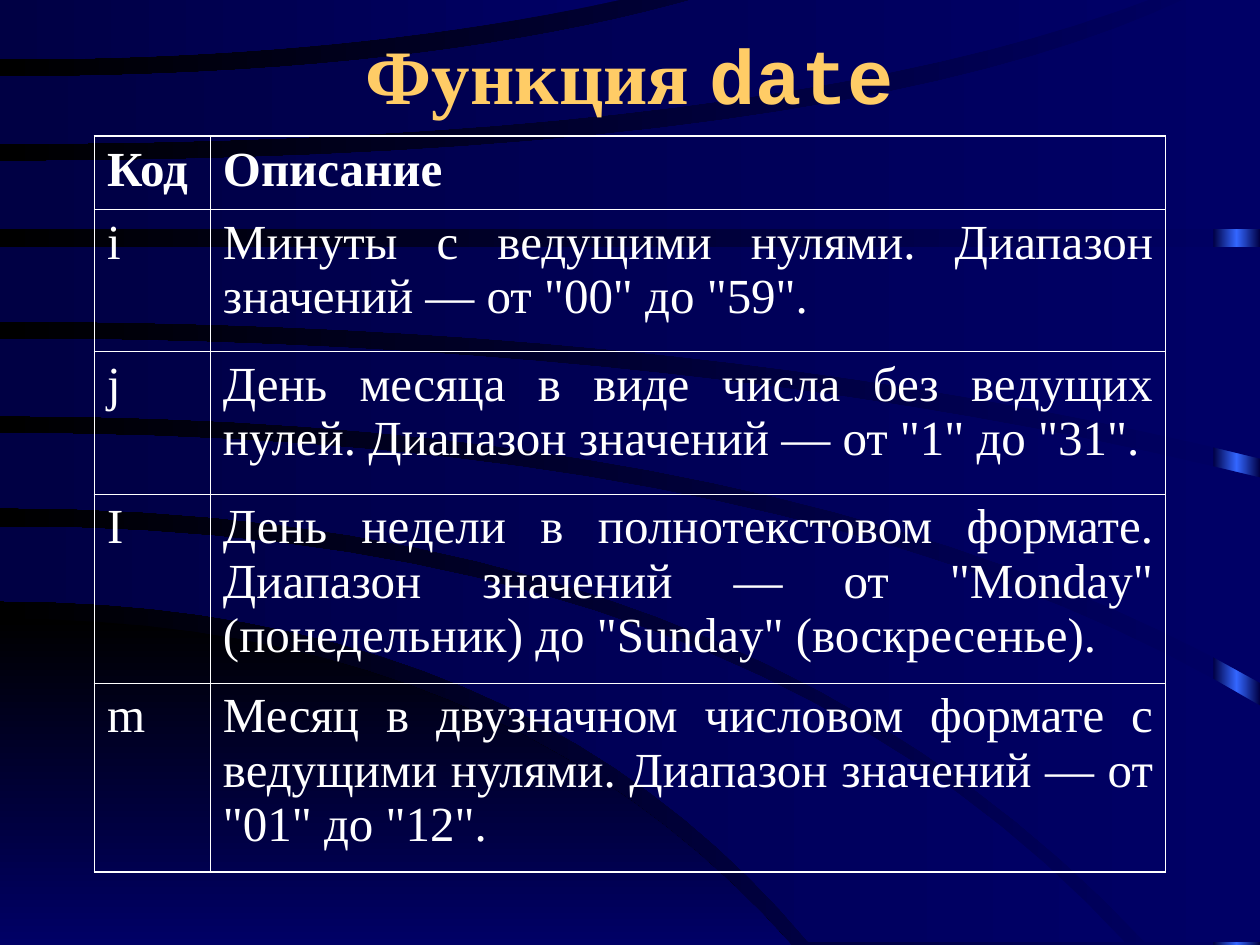
import collections
import copy

import pptx
import pptx.dml.color
import pptx.enum.shapes
import pptx.enum.text
import pptx.oxml
import pptx.oxml.ns
import pptx.util

Inches = pptx.util.Inches
RGBColor = pptx.dml.color.RGBColor
Align = pptx.enum.text.PP_ALIGN

BLACK = RGBColor(0x00, 0x00, 0x00)
NAVY = RGBColor(0x00, 0x00, 0x66)
DEEP_NAVY = RGBColor(0x00, 0x00, 0x44)
BRIGHT_BLUE = RGBColor(0x33, 0x66, 0xFF)
GOLD = RGBColor(0xFF, 0xCC, 0x66)
WHITE = RGBColor(0xFF, 0xFF, 0xFF)

SERIF = "Times New Roman"
MONO = "Courier New"

# A band edge leaves the left side level at y_start, bends near x_bend and
# ends at (x_end, y_end); all in inches
Edge = collections.namedtuple("Edge", "y_start x_bend x_end y_end")
EDGE_STEPS = 20

DARK_HILL = (Edge(4.91, 3.98, 6.28, 7.5), Edge(7.5, 3, 6.28, 7.5))
BANDS = [  # upper and lower edge of each band
    (Edge(4.18, 5.88, 8.93, 7.48), Edge(4.77, 4.15, 6.42, 7.48)),
    (Edge(3.44, 6.4, 10, 5.6), Edge(4.03, 5.88, 9.09, 7.48)),
    (Edge(2.69, 5.54, 10, 3.79), Edge(3.3, 6.3, 10, 5.42)),
    (Edge(1.96, 5, 10, 1.96), Edge(2.55, 5.64, 10, 3.64)),
    (Edge(1.28, 6.72, 9.43, -0.02), Edge(1.82, 5, 10, 1.82)),
    (Edge(0.61, 3.38, 5.56, -0.02), Edge(1.14, 6.16, 9.17, -0.02)),
    (Edge(-0.02, 2.5, 5.01, -0.02), Edge(0.47, 2.8, 5.01, -0.02)),
]

CODE_ROWS = [
    ("Код", "Описание"),
    ("i", 'Минуты с ведущими нулями. Диапазон значений — от "00" до "59".'),
    ("j", 'День месяца в виде числа без ведущих нулей. Диапазон значений — от "1" до "31".'),
    ("I", 'День недели в полнотекстовом формате. Диапазон значений — от "Monday" '
          '(понедельник) до "Sunday" (воскресенье).'),
    ("m", 'Месяц в двузначном числовом формате с ведущими нулями. '
          'Диапазон значений — от "01" до "12".'),
]


def write(paragraph, text, *, size, color=WHITE, font=SERIF, bold=False, align=Align.JUSTIFY):
    """Add one formatted run to a paragraph."""
    paragraph.alignment = align
    run = paragraph.add_run()
    run.text = text
    run.font.size = pptx.util.Pt(size)
    run.font.name = font
    run.font.bold = bold
    run.font.color.rgb = color


def set_gradient(fill, colors, angle):
    """Spread the colours evenly along the gradient."""
    for stop, (i, color) in zip(fill.gradient_stops, enumerate(colors)):
        stop.color.rgb = color
        stop.position = i / (len(colors) - 1)
    fill.gradient_angle = angle


def trace(edge):
    """Points of the quadratic curve along an edge, left to right."""
    points = []
    for step in range(EDGE_STEPS + 1):
        t = step / EDGE_STEPS
        x = 2 * t * (1 - t) * edge.x_bend + t * t * edge.x_end
        y = edge.y_start + t * t * (edge.y_end - edge.y_start)
        points.append((Inches(x), Inches(y)))
    return points


class SlideBuilder:
    outer_line = 1.08
    inner_line = 0.45

    def __init__(self, slide):
        self.slide = slide
        self.backdrop = slide.shapes.add_group_shape()

    def background(self, *colors):
        fill = self.slide.background.fill
        fill.gradient()
        set_gradient(fill, colors, 180)

    def paint(self, shape, colors, angle):
        shape.shadow.inherit = False
        shape.line.fill.background()
        shape.fill.gradient()
        stops = shape._element.spPr.find(".//" + pptx.oxml.ns.qn("a:gsLst"))
        for _ in colors[2:]:
            stops.append(copy.deepcopy(stops[0]))
        set_gradient(shape.fill, colors, angle)

    def edge_strip(self, left, top, width, height, colors):
        strip = self.backdrop.shapes.add_shape(
            pptx.enum.shapes.MSO_SHAPE.RECTANGLE,
            Inches(left), Inches(top), Inches(width), Inches(height))
        self.paint(strip, colors, 180)

    def band(self, upper, lower, colors, angle=180):
        # Fill the slide corner between edges that end on different sides
        inner = min(upper, lower, key=lambda edge: edge.x_end)
        corner = (Inches(max(upper.x_end, lower.x_end)), Inches(inner.y_end))
        points = trace(upper) + [corner] + trace(lower)[::-1]
        builder = self.backdrop.shapes.build_freeform(*points[0])
        builder.add_line_segments(points[1:], close=True)
        self.paint(builder.convert_to_shape(), colors, angle)

    def title(self, left, top, width, height, parts):
        heading = self.slide.shapes.title
        heading.left, heading.top = Inches(left), Inches(top)
        heading.width, heading.height = Inches(width), Inches(height)
        frame = heading.text_frame
        frame.vertical_anchor = pptx.enum.text.MSO_ANCHOR.MIDDLE
        for text, font in parts:
            write(frame.paragraphs[0], text, size=44, color=GOLD, font=font, bold=True,
                  align=Align.CENTER)
        # Bring the title in front of the backdrop
        self.slide.shapes._spTree.append(heading._element)

    def borders(self, cell, outer_sides):
        properties = cell._tc.get_or_add_tcPr()
        for side in "LRTB":
            points = self.outer_line if side in outer_sides else self.inner_line
            properties.append(pptx.oxml.parse_xml(
                f'<a:ln{side} {pptx.oxml.ns.nsdecls("a")} w="{int(pptx.util.Pt(points))}">'
                f'<a:solidFill><a:srgbClr val="{WHITE}"/></a:solidFill></a:ln{side}>'))

    def table(self, left, top, widths, heights, rows):
        grid = self.slide.shapes.add_table(
            len(heights), len(widths), Inches(left), Inches(top),
            Inches(sum(widths)), Inches(sum(heights))).table
        grid.first_row = grid.horz_banding = False
        for column, width in zip(grid.columns, widths):
            column.width = Inches(width)
        for r, (height, texts) in enumerate(zip(heights, rows)):
            grid.rows[r].height = Inches(height)
            for c, text in enumerate(texts):
                cell = grid.cell(r, c)
                write(cell.text_frame.paragraphs[0], text, size=28, bold=r == 0)
                outer = {"L": c == 0, "R": c == len(widths) - 1,
                         "T": r == 0, "B": r == len(heights) - 1}
                self.borders(cell, [side for side, is_outer in outer.items() if is_outer])
                cell.fill.background()


def main():
    deck = pptx.Presentation()
    deck.slide_width, deck.slide_height = Inches(10), Inches(7.5)
    page = SlideBuilder(deck.slides.add_slide(deck.slide_layouts[5]))

    # Backdrop
    page.background(NAVY, BLACK)
    page.edge_strip(9.63, 0, 0.37, 7.5, [DEEP_NAVY, BRIGHT_BLUE, DEEP_NAVY])
    page.band(*DARK_HILL, [BLACK, NAVY], angle=270)
    for upper, lower in BANDS:
        page.band(upper, lower, [NAVY, DEEP_NAVY])

    # Title and table of format codes
    page.title(0.75, 0.17, 8.5, 0.83, [("Функция ", SERIF), ("date", MONO)])
    page.table(0.75, 1.08, [0.92, 7.58], [0.58, 1.13, 1.13, 1.5, 1.5], CODE_ROWS)

    deck.save("out.pptx")


if __name__ == "__main__":
    main()
